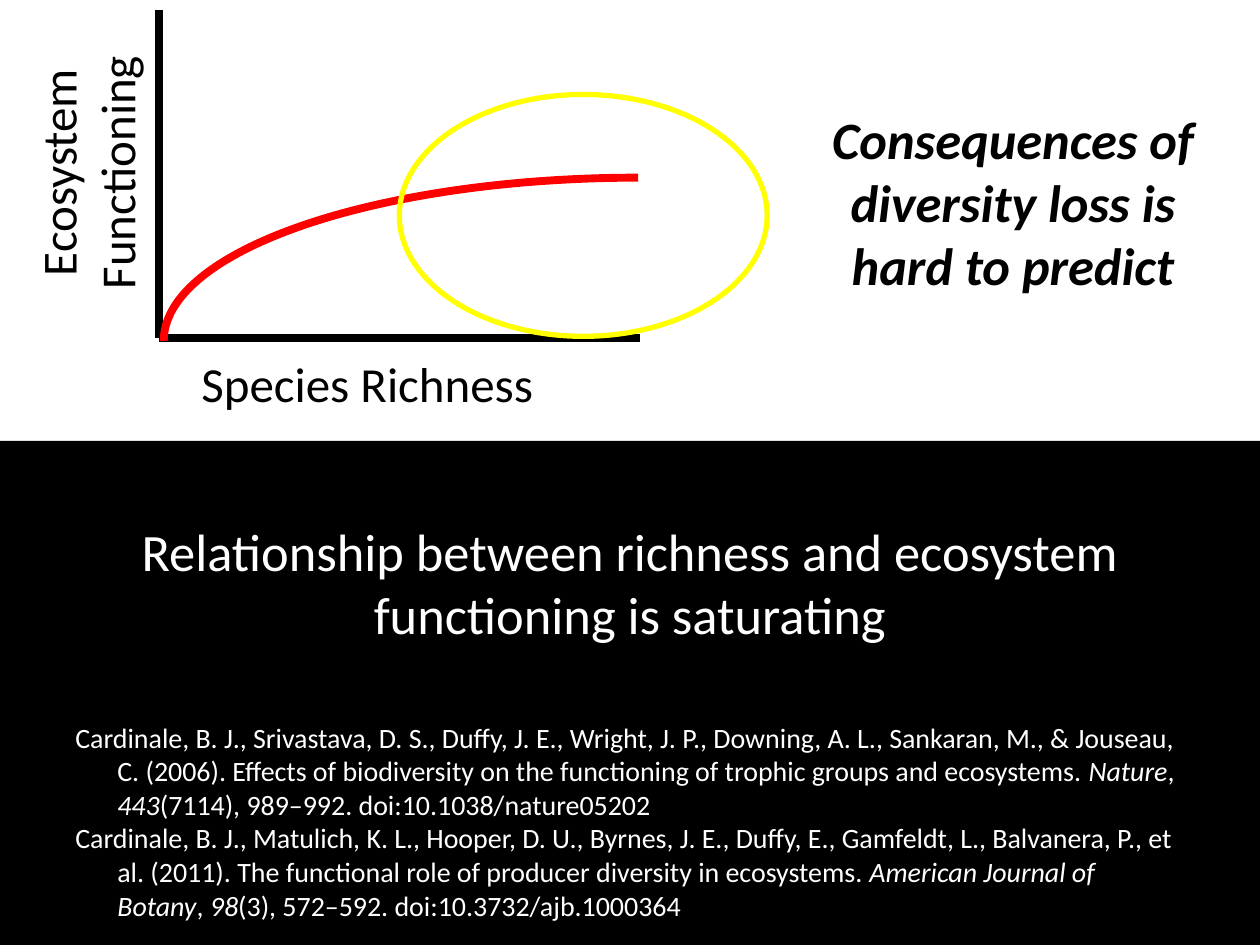
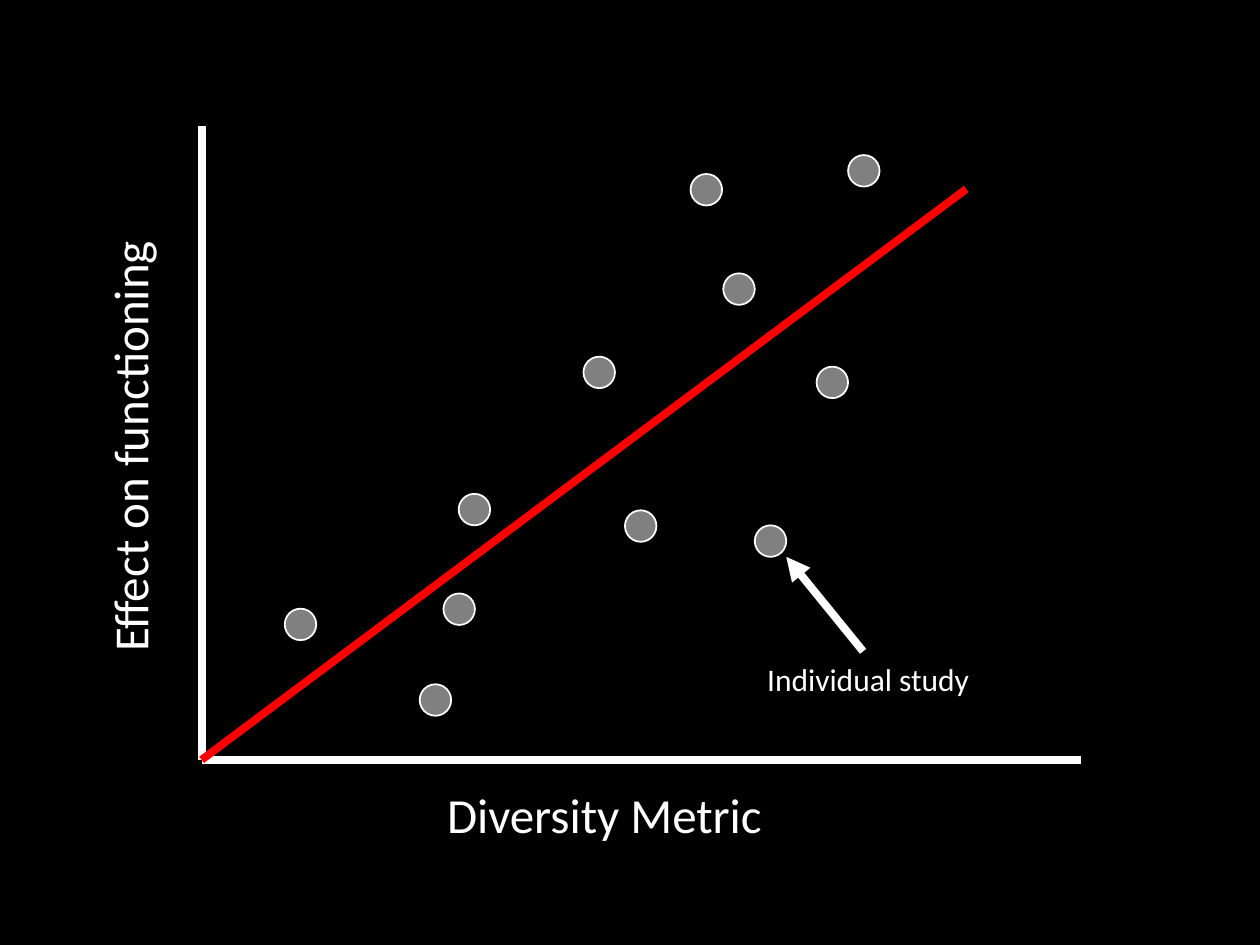
"""Builds two slides on species richness and ecosystem functioning."""
import pptx
import pptx.dml.color
import pptx.enum.shapes
import pptx.enum.text
import pptx.oxml.ns
import pptx.util
from lxml import etree

Pt = pptx.util.Pt
Shape = pptx.enum.shapes.MSO_SHAPE
Auto = pptx.enum.text.MSO_AUTO_SIZE
Align = pptx.enum.text.PP_ALIGN
qn = pptx.oxml.ns.qn

COLORS = {
    "black": "000000",
    "white": "FFFFFF",
    "red": "FF0000",
    "yellow": "FFFF00",
    "gray": "808080",
}
FONT = "Calibri"
AXIS = 4.5
LABEL = 28
HEADING = 30
DOT = 18

REFERENCES = [
    "Cardinale, B. J., Srivastava, D. S., Duffy, J. E., Wright, J. P., Downing, A. L., "
    "Sankaran, M., & Jouseau, C. (2006). Effects of biodiversity on the functioning of "
    "trophic groups and ecosystems. *Nature*, *443*(7114), 989–992. doi:10.1038/nature05202",
    "Cardinale, B. J., Matulich, K. L., Hooper, D. U., Byrnes, J. E., Duffy, E., "
    "Gamfeldt, L., Balvanera, P., et al. (2011). The functional role of producer diversity "
    "in ecosystems. *American Journal of Botany*, *98*(3), 572–592. doi:10.3732/ajb.1000364",
]
STUDIES = [
    (162.7, 347.8), (239.8, 391), (253.4, 339.1), (262.1, 282.2),
    (357.1, 291.6), (431.3, 300.2), (333.4, 203.8), (413.3, 156.2),
    (466.6, 209.5), (394.6, 99.4), (484.6, 88.6),
]


def rgb(name):
    return pptx.dml.color.RGBColor.from_string(COLORS[name])


class Deck:
    def __init__(self):
        self.prs = pptx.Presentation()
        self.prs.slide_width, self.prs.slide_height = Pt(720), Pt(540)
        self.s = None

    def slide(self, layout):
        self.s = self.prs.slides.add_slide(self.prs.slide_layouts.get_by_name(layout))
        fill = self.s.background.fill
        fill.solid()
        fill.fore_color.rgb = rgb("black")

    def style(self, font, size, color, bold=False, italic=False):
        font.name, font.size = FONT, Pt(size)
        font.color.rgb = rgb(color)
        font.bold, font.italic = bold, italic

    def title(self, text, x, y, w, h):
        sp = self.s.shapes.title
        sp.left, sp.top, sp.width, sp.height = map(Pt, (x, y, w, h))
        sp.text_frame.text = text
        p = sp.text_frame.paragraphs[0]
        p.alignment = Align.CENTER
        self.style(p.runs[0].font, HEADING, "white")
        self.s.shapes.element.append(sp.element)

    def box(self, x, y, w, h, wrap, rotation=0):
        sp = self.s.shapes.add_textbox(*map(Pt, (x, y, w, h)))
        sp.rotation = rotation
        tf = sp.text_frame
        tf.word_wrap = wrap
        tf.auto_size = Auto.SHAPE_TO_FIT_TEXT
        return tf

    def label(self, text, x, y, w, h, size, color, wrap=False, rotation=0, strong=False):
        tf = self.box(x, y, w, h, wrap, rotation)
        tf.text = text
        p = tf.paragraphs[0]
        p.alignment = Align.CENTER if wrap else Align.LEFT
        self.style(p.runs[0].font, size, color, strong, strong)

    def references(self, entries, x, y, w, h):
        tf = self.box(x, y, w, h, True)
        for i, entry in enumerate(entries):
            p = tf.add_paragraph() if i else tf.paragraphs[0]
            ppr = p._p.get_or_add_pPr()
            ppr.set("marL", str(Pt(24)))
            ppr.set("indent", str(Pt(-24)))
            for j, part in enumerate(entry.split("*")):
                r = p.add_run()
                r.text = part
                self.style(r.font, 16, "white", italic=j % 2 == 1)

    def shape(self, kind, x, y, w, h, fill=None, line=None, width=1):
        sp = self.s.shapes.add_shape(kind, *map(Pt, (x, y, w, h)))
        sp.shadow.inherit = False
        if fill:
            sp.fill.solid()
            sp.fill.fore_color.rgb = rgb(fill)
        else:
            sp.fill.background()
        if line:
            sp.line.color.rgb = rgb(line)
            sp.line.width = Pt(width)
        else:
            sp.line.fill.background()
        return sp

    def line(self, x1, y1, x2, y2, color, arrow=False):
        straight = pptx.enum.shapes.MSO_CONNECTOR.STRAIGHT
        sp = self.s.shapes.add_connector(straight, *map(Pt, (x1, y1, x2, y2)))
        sp.line.color.rgb = rgb(color)
        sp.line.width = Pt(AXIS)
        if arrow:
            etree.SubElement(sp.line._get_or_add_ln(), qn("a:tailEnd"), type="triangle")
        etree.SubElement(sp.element.spPr, qn("a:effectLst"))

    def axes(self, x, top, right, bottom, color):
        self.line(x, top, x, bottom, color)
        self.line(right, bottom, x, bottom, color)


def saturating_slide(deck):
    deck.slide("Title Only")
    deck.shape(Shape.RECTANGLE, 0, 0, 720, 258, "white")
    deck.shape(Shape.RECTANGLE, 0, 252, 720, 288, "black")
    deck.references(REFERENCES, 36, 408, 648, 124)
    deck.label("Ecosystem Functioning", -46.8, 64.8, 185.8, 67.7, LABEL, "black",
               wrap=True, rotation=270)
    deck.label("Species Richness", 108, 198.7, 206, 41, LABEL, "black")
    deck.axes(90.7, 5.8, 365.8, 193, "black")
    curve = deck.shape(Shape.ARC, 93.6, 101.5, 542.2, 186.5, line="red", width=AXIS)
    curve.element.spPr.xfrm.set("flipH", "1")
    deck.title("Relationship between richness and ecosystem functioning is saturating",
               18, 292.3, 684, 80)
    deck.label("Consequences of diversity loss is hard to predict", 468, 57.6, 221.8, 116.6,
               HEADING, "black", wrap=True, strong=True)
    deck.shape(Shape.OVAL, 228.2, 54, 210.2, 138.2, line="yellow", width=3)


def studies_slide(deck):
    deck.slide("Blank")
    deck.axes(115.2, 72, 617.8, 434.2, "white")
    deck.label("Effect on functioning", -52.6, 232.6, 252.7, 41, LABEL, "white", rotation=270)
    deck.label("Diversity Metric", 248.4, 445, 196.6, 41, LABEL, "white")
    deck.line(552.2, 108, 115.2, 434.2, "red")
    for x, y in STUDIES:
        deck.shape(Shape.OVAL, x, y, DOT, DOT, "gray", "white")
    deck.line(493.2, 372.2, 449.3, 318.2, "white", arrow=True)
    deck.label("Individual study", 431.3, 373.7, 131, 28.8, 18, "white")


def main():
    deck = Deck()
    saturating_slide(deck)
    studies_slide(deck)
    deck.prs.save("out.pptx")


if __name__ == "__main__":
    main()
